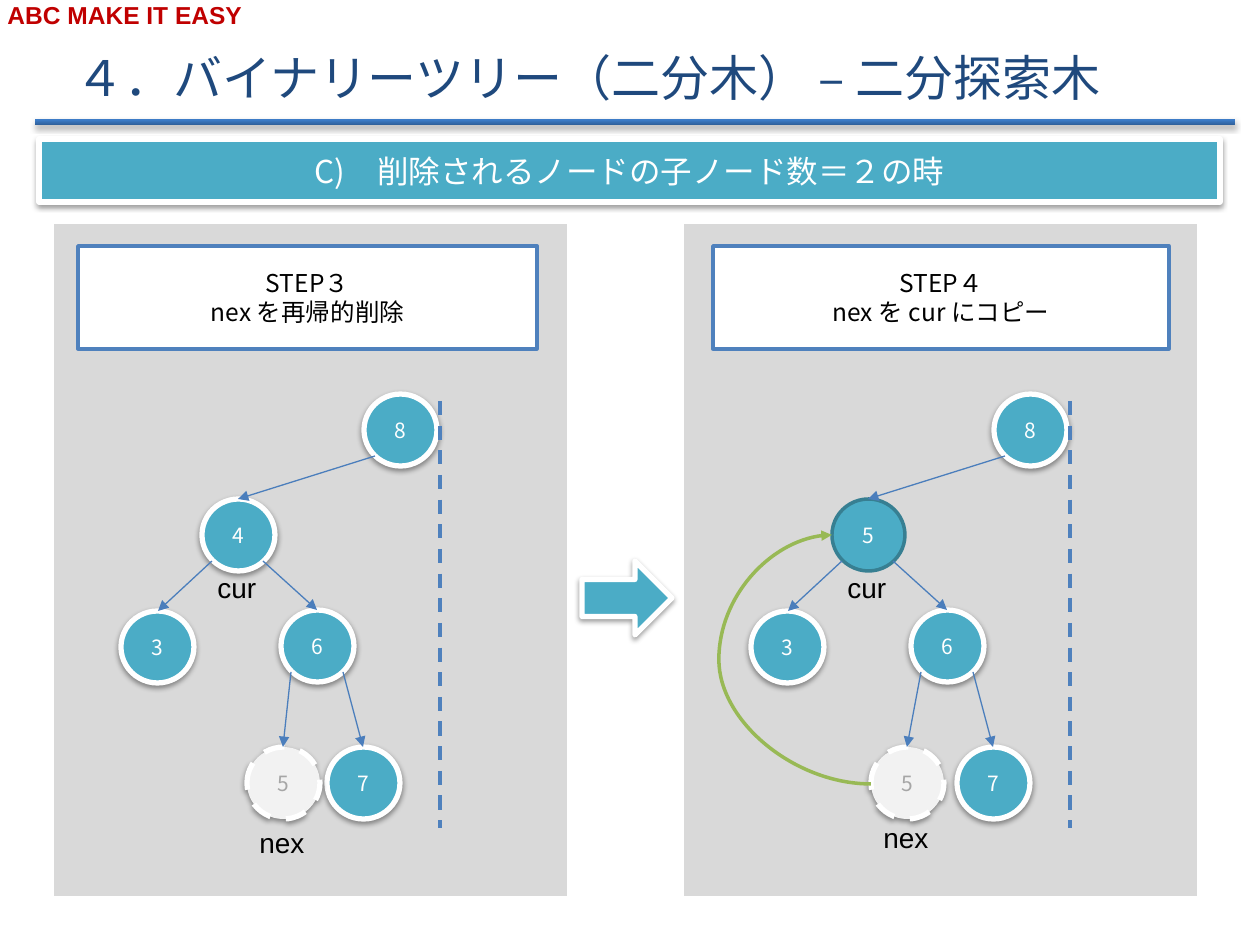
from dataclasses import dataclass
from typing import Optional

from lxml import etree
from pptx import Presentation
from pptx.dml.color import RGBColor
from pptx.enum.dml import MSO_LINE
from pptx.enum.shapes import MSO_CONNECTOR, MSO_SHAPE
from pptx.enum.text import MSO_ANCHOR, PP_ALIGN
from pptx.oxml.ns import qn
from pptx.util import Emu, Pt

RECTANGLE, ROUNDED = MSO_SHAPE.RECTANGLE, MSO_SHAPE.ROUNDED_RECTANGLE
OVAL, RIGHT_ARROW = MSO_SHAPE.OVAL, MSO_SHAPE.RIGHT_ARROW
STRAIGHT, CURVE = MSO_CONNECTOR.STRAIGHT, MSO_CONNECTOR.CURVE
DASH = MSO_LINE.DASH
LEFT, CENTER = PP_ALIGN.LEFT, PP_ALIGN.CENTER
TOP, MIDDLE = MSO_ANCHOR.TOP, MSO_ANCHOR.MIDDLE

WHITE = RGBColor(0xFF, 0xFF, 0xFF)
BLACK = RGBColor(0, 0, 0)
RED = RGBColor(0xC0, 0, 0)
NAVY = RGBColor(0x1F, 0x49, 0x7D)
TEAL = RGBColor(0x4B, 0xAC, 0xC6)
DARK_TEAL = RGBColor(0x37, 0x7F, 0x92)
BLUE = RGBColor(0x4F, 0x81, 0xBD)
LINK_BLUE = RGBColor(0x4B, 0x7E, 0xBC)
RULE_DARK = RGBColor(0x2F, 0x5F, 0x99)
RULE_LIGHT = RGBColor(0x3D, 0x7C, 0xC7)
GREEN = RGBColor(0x98, 0xB9, 0x55)
PANEL_GRAY = RGBColor(0xD9, 0xD9, 0xD9)
GHOST_FILL = RGBColor(0xF2, 0xF2, 0xF2)
GHOST_TEXT = RGBColor(0xA6, 0xA6, 0xA6)

LATIN_FONT, JAPANESE_FONT = "Arial", "Noto Sans CJK JP"
NODE_WIDTH, NODE_HEIGHT = 73, 72
PANEL_STEP = 630


@dataclass(frozen=True)
class TextStyle:
    """Look of a text block."""
    size: int
    color: RGBColor
    font: str = JAPANESE_FONT
    align: PP_ALIGN = CENTER
    anchor: MSO_ANCHOR = MIDDLE
    bold: bool = False


@dataclass(frozen=True)
class Outline:
    """Look of a line or a border."""
    color: RGBColor
    width: float
    dash: Optional[MSO_LINE] = None


@dataclass(frozen=True)
class Panel:
    """What one step of the deletion shows; lengths count from its own column."""
    offset: int
    step: tuple
    step_left: int
    step_width: int
    current_value: str
    current_outline: Outline
    current_shadow: bool
    next_left: int
    next_label_top: int


WHITE_BORDER = Outline(WHITE, 3)
BLUE_BORDER = Outline(BLUE, 2)
NODE_TEXT = TextStyle(12, WHITE)
STEP_TEXT = TextStyle(14, BLACK)
LABEL_TEXT = TextStyle(16, BLACK, LATIN_FONT, LEFT, TOP)

PANELS = (
    Panel(0, ("STEP３", "nex を再帰的削除"), 78, 459, "4", WHITE_BORDER, True, 247, 819),
    Panel(PANEL_STEP, ("STEP４", "nex を cur にコピー"), 83, 456, "5",
          Outline(DARK_TEAL, 2), False, 241, 814),
)
FIXED_NODES = (("8", 364, 394), ("6", 281, 610), ("7", 327, 747), ("3", 121, 611))
FIXED_LINKS = ((375, 456, 238, 499), (212, 561, 158, 611),
               (343, 672, 363, 747), (263, 561, 317, 610))


def px(length: float) -> Emu:
    """Turn pixels into EMU."""
    return Emu(round(length * 914400 / 126))


def write_text(shape, lines: tuple, style: TextStyle, wrap: bool = True) -> None:
    """Write one paragraph for each line in the given style."""
    frame = shape.text_frame
    frame.word_wrap = wrap
    frame.vertical_anchor = style.anchor
    frame.text = "\n".join(lines)
    for paragraph in frame.paragraphs:
        paragraph.alignment = style.align
        font = paragraph.font
        font.size, font.bold, font.name = Pt(style.size), style.bold, style.font
        font.color.rgb = style.color
        properties = paragraph._p.pPr.find(qn("a:defRPr"))
        etree.SubElement(properties, qn("a:ea"), typeface=style.font)


def set_outline(line, outline: Outline) -> None:
    """Apply colour, width and dash to a line."""
    line.color.rgb = outline.color
    line.width = Pt(outline.width)
    if outline.dash:
        line.dash_style = outline.dash


def add_shadow(shape) -> None:
    """Add a soft shadow below a shape."""
    effects = shape._element.spPr.find(qn("a:effectLst"))
    shadow = etree.SubElement(effects, qn("a:outerShdw"), blurRad=str(Pt(3.1)),
                              dist=str(Pt(1.6)), dir="5400000", rotWithShape="0")
    color = etree.SubElement(shadow, qn("a:srgbClr"), val="000000")
    etree.SubElement(color, qn("a:alpha"), val="38000")


def add_box(shapes, kind: MSO_SHAPE, box: tuple, fill: RGBColor,
            outline: Optional[Outline] = None, shadow: bool = False):
    """Draw a filled preset shape."""
    shape = shapes.add_shape(kind, *map(px, box))
    shape.shadow.inherit = False
    shape.fill.solid()
    shape.fill.fore_color.rgb = fill
    if outline:
        set_outline(shape.line, outline)
    else:
        shape.line.fill.background()
    if shadow:
        add_shadow(shape)
    return shape


def add_line(shapes, ends: tuple, outline: Outline, arrow: bool = True,
             kind: MSO_CONNECTOR = STRAIGHT):
    """Draw a connector, with an arrowhead at its end if wanted."""
    connector = shapes.add_connector(kind, *map(px, ends))
    set_outline(connector.line, outline)
    properties = connector._element.spPr
    if arrow:
        etree.SubElement(properties.find(qn("a:ln")), qn("a:tailEnd"), type="triangle")
    etree.SubElement(properties, qn("a:effectLst"))
    return connector


def add_label(shapes, text: str, box: tuple, style: TextStyle, wrap: bool = False) -> None:
    """Add a text box."""
    write_text(shapes.add_textbox(*map(px, box)), (text,), style, wrap)


def add_node(shapes, value: str, left: int, top: int, fill: RGBColor = TEAL,
             outline: Outline = WHITE_BORDER, shadow: bool = True,
             style: TextStyle = NODE_TEXT) -> None:
    """Draw a tree node with its value."""
    box = (left, top, NODE_WIDTH, NODE_HEIGHT)
    write_text(add_box(shapes, OVAL, box, fill, outline, shadow), (value,), style)


def add_panel(shapes, panel: Panel) -> None:
    """Draw one step: its background, tree, labels and heading."""
    x = panel.offset
    next_left = x + panel.next_left
    tree = shapes.add_group_shape().shapes
    add_box(tree, RECTANGLE, (x + 54, 224, 513, 672), PANEL_GRAY)
    for value, left, top in FIXED_NODES:
        add_node(tree, value, x + left, top)
    add_node(tree, panel.current_value, x + 202, 499, TEAL,
             panel.current_outline, panel.current_shadow)
    add_node(tree, "5", next_left, 747, GHOST_FILL, Outline(WHITE, 3, DASH),
             style=TextStyle(12, GHOST_TEXT))
    next_link = (291, 672, panel.next_left + 36, 747)
    for x1, y1, x2, y2 in FIXED_LINKS + (next_link,):
        add_line(tree, (x + x1, y1, x + x2, y2), Outline(LINK_BLUE, 0.75))
    add_label(tree, "cur", (x + 205, 564, 64, 47), LABEL_TEXT)
    add_line(tree, (x + 440, 401, x + 440, 828), Outline(BLUE, 2, DASH), arrow=False)
    heading = add_box(shapes, RECTANGLE, (x + panel.step_left, 246, panel.step_width, 103),
                      WHITE, BLUE_BORDER)
    write_text(heading, panel.step, STEP_TEXT)
    add_label(shapes, "nex", (next_left, panel.next_label_top, 71, 47), LABEL_TEXT)


def add_header(shapes) -> None:
    """Draw the banner, title, rule and subtitle bar."""
    rule = add_box(shapes, ROUNDED, (35, 119, 1200, 6), RULE_LIGHT, shadow=True)
    rule.fill.gradient()
    rule.fill.gradient_angle = 90
    for stop, color, position in zip(rule.fill.gradient_stops, (RULE_DARK, RULE_LIGHT), (0, 0.8)):
        stop.color.rgb, stop.position = color, position
    add_label(shapes, "ABC MAKE IT EASY", (-5, -6, 446, 43),
              TextStyle(14, RED, LATIN_FONT, LEFT, TOP, True), wrap=True)
    add_label(shapes, "４．バイナリーツリー（二分木） – 二分探索木", (63, 38, 1134, 77),
              TextStyle(28, NAVY, align=LEFT), wrap=True)
    bar = add_box(shapes, RECTANGLE, (39, 139, 1181, 63), TEAL, WHITE_BORDER, True)
    write_text(bar, ("C)　削除されるノードの子ノード数＝２の時",), TextStyle(18, WHITE))


presentation = Presentation()
presentation.slide_width, presentation.slide_height = px(1260), px(945)
slide = presentation.slides.add_slide(presentation.slide_layouts[6])
add_header(slide.shapes)
for step_panel in PANELS:
    add_panel(slide.shapes, step_panel)
add_box(slide.shapes, RIGHT_ARROW, (582, 561, 90, 74), TEAL, WHITE_BORDER, True)
copy_arrow = add_line(slide.shapes, (871, 784, 832, 535), Outline(GREEN, 2), kind=CURVE)
bend = copy_arrow._element.spPr.find(qn("a:prstGeom")).get_or_add_avLst()
etree.SubElement(bend, qn("a:gd"), name="adj1", fmla="val 390000")
presentation.save("out.pptx")
